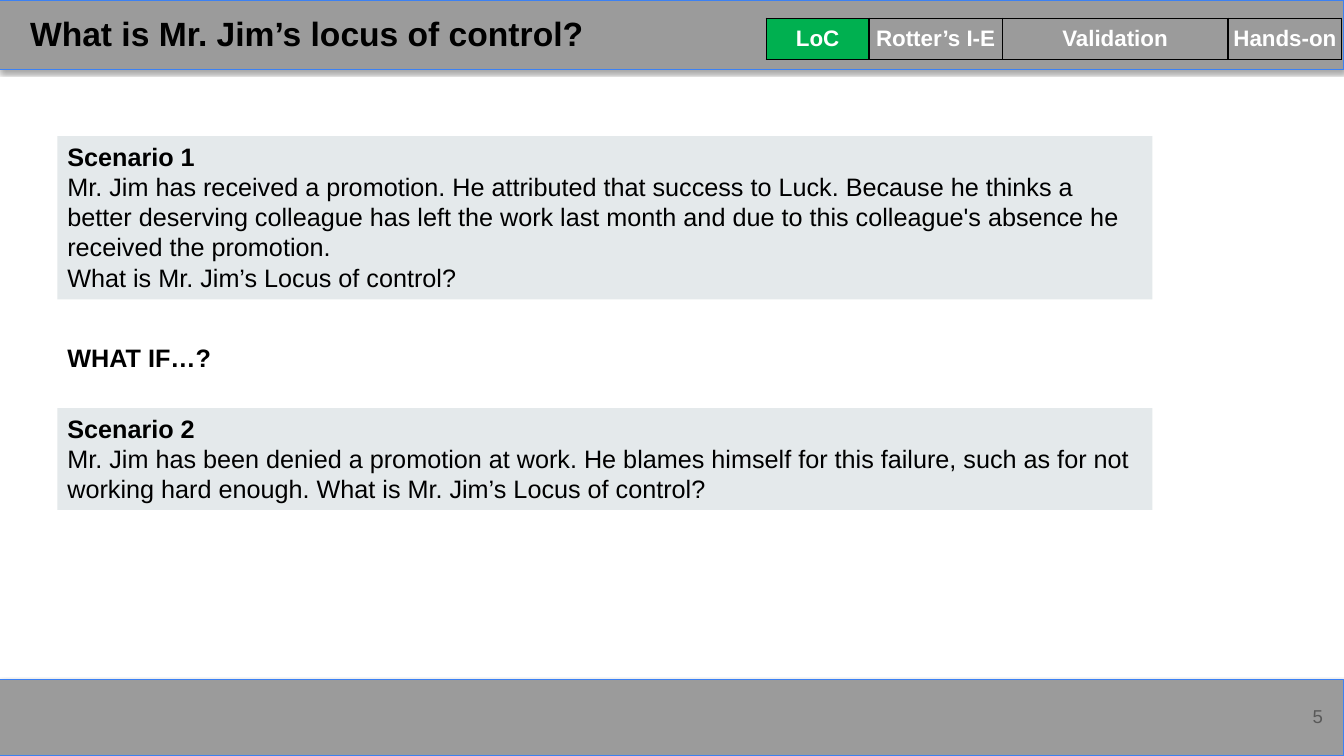
from dataclasses import dataclass

from lxml import etree
from pptx import Presentation
from pptx.dml.color import RGBColor
from pptx.enum.shapes import MSO_SHAPE
from pptx.enum.text import MSO_ANCHOR, MSO_AUTO_SIZE, PP_ALIGN
from pptx.oxml import parse_xml
from pptx.oxml.ns import nsdecls
from pptx.util import Inches, Pt

RECT = MSO_SHAPE.RECTANGLE
TOP, MIDDLE = MSO_ANCHOR.TOP, MSO_ANCHOR.MIDDLE
FIT = MSO_AUTO_SIZE.SHAPE_TO_FIT_TEXT
LEFT, CENTER, RIGHT = PP_ALIGN.LEFT, PP_ALIGN.CENTER, PP_ALIGN.RIGHT


@dataclass(frozen=True)
class Theme:
    font: str = "Arial"
    ink: str = "000000"
    white: str = "FFFFFF"
    muted: str = "595959"
    bar: str = "9B9B9B"
    edge: str = "3C81F3"
    panel: str = "E4E9EB"
    active: str = "00B050"
    title: float = 24
    body: float = 18
    tab: float = 16
    number: float = 13.3


THEME = Theme()
WIDTH, HEIGHT = 13.33, 7.5
HEAD, FOOT = 0.69, 0.76
MARGIN = 0.57


def color(code):
    return RGBColor.from_string(code)


def place(box):
    return [Inches(value) for value in box]


def style(para, size, tone=THEME.ink, bold=False, align=LEFT):
    para.alignment = align
    for run in para.runs:
        font = run.font
        font.name, font.size, font.bold = THEME.font, Pt(size), bold
        font.color.rgb = color(tone)


def add_rect(slide, box, fill):
    shape = slide.shapes.add_shape(RECT, *place(box))
    shape.shadow.inherit = False
    shape.fill.solid()
    shape.fill.fore_color.rgb = color(fill)
    shape.line.fill.background()
    return shape


def add_label(slide, box, text, size, wrap=True):
    label = slide.shapes.add_textbox(*place(box))
    frame = label.text_frame
    frame.word_wrap = wrap
    frame.text = text
    style(frame.paragraphs[0], size, bold=True)
    return frame


def add_bar(slide, box):
    bar = add_rect(slide, box, THEME.bar)
    bar.line.color.rgb = color(THEME.edge)
    bar.line.width = Pt(0.75)
    effects = bar.element.spPr.find("{*}effectLst")
    effects.append(parse_xml(
        f'<a:outerShdw {nsdecls("a")} blurRad="{Pt(3.1)}" dist="{Pt(1.8)}" '
        'dir="5400000" rotWithShape="0"><a:srgbClr val="000000">'
        '<a:alpha val="35000"/></a:srgbClr></a:outerShdw>'))


def add_footer(slide, box, number):
    left, top, width, height = box
    add_bar(slide, box)
    spot = (left + width - 0.91, top + 0.08, 0.8, 0.57)
    frame = add_label(slide, spot, number, THEME.number)
    frame.vertical_anchor = MIDDLE
    frame.margin_left = frame.margin_right = Inches(0.1)
    frame.margin_top = frame.margin_bottom = Inches(0.1)
    style(frame.paragraphs[0], THEME.number, THEME.muted, align=RIGHT)


def add_header(slide, box, title):
    left, top, width, height = box
    add_bar(slide, box)
    add_label(slide, (left + 0.2, top + 0.08, 12, 0.56), title, THEME.title)


def add_borders(cell):
    props = cell._tc.get_or_add_tcPr()
    for side in ("lnL", "lnR", "lnT", "lnB"):
        line = etree.SubElement(props, props.tag.replace("tcPr", side), w=str(Pt(1)))
        line.append(parse_xml(
            f'<a:solidFill {nsdecls("a")}><a:srgbClr val="{THEME.ink}"/></a:solidFill>'))


def add_tabs(slide, box, tabs, active):
    table = slide.shapes.add_table(1, len(tabs), *place(box)).table
    table.first_row = table.horz_banding = False
    for index, (name, width) in enumerate(tabs):
        table.columns[index].width = Inches(width)
        cell = table.cell(0, index)
        add_borders(cell)
        if name == active:
            cell.fill.solid()
            cell.fill.fore_color.rgb = color(THEME.active)
        else:
            cell.fill.background()
        cell.vertical_anchor = MIDDLE
        cell.margin_left = cell.margin_right = Inches(0.05)
        cell.margin_top = cell.margin_bottom = Inches(0.05)
        cell.text_frame.text = name
        style(cell.text_frame.paragraphs[0], THEME.tab, THEME.white, True, CENTER)


def add_panel(slide, box, lines):
    frame = add_rect(slide, box, THEME.panel).text_frame
    frame.word_wrap = True
    frame.auto_size = FIT
    frame.vertical_anchor = TOP
    frame.text = "\n".join(lines)
    for index, para in enumerate(frame.paragraphs):
        style(para, THEME.body, bold=index == 0)


def add_body(slide, box):
    left, top, width, height = box
    add_panel(slide, (left, top, width, 1.62), [
        "Scenario 1",
        "Mr. Jim has received a promotion. He attributed that success to Luck. "
        "Because he thinks a better deserving colleague has left the work last month "
        "and due to this colleague's absence he received the promotion.",
        "What is Mr. Jim’s Locus of control?",
    ])
    add_panel(slide, (left, top + 2.7, width, 1.01), [
        "Scenario 2",
        "Mr. Jim has been denied a promotion at work. He blames himself for this "
        "failure, such as for not working hard enough. "
        "What is Mr. Jim’s Locus of control?",
    ])
    frame = add_label(slide, (left, top + 2, 1.64, 0.4), "WHAT IF…?", THEME.body, False)
    frame.auto_size = FIT


def main():
    deck = Presentation()
    deck.slide_width, deck.slide_height = Inches(WIDTH), Inches(HEIGHT)
    slide = deck.slides.add_slide(deck.slide_layouts[6])
    add_footer(slide, (0, HEIGHT - FOOT, WIDTH, FOOT), "5")
    add_header(slide, (0, 0, WIDTH, HEAD), "What is Mr. Jim’s locus of control?")
    add_body(slide, (MARGIN, 1.35, 10.86, 3.71))
    tabs = [("LoC", 1.02), ("Rotter’s I-E", 1.32), ("Validation", 2.24), ("Hands-on", 1.13)]
    add_tabs(slide, (7.6, 0.18, 5.72, 0.41), tabs, "LoC")
    deck.save("out.pptx")


if __name__ == "__main__":
    main()
